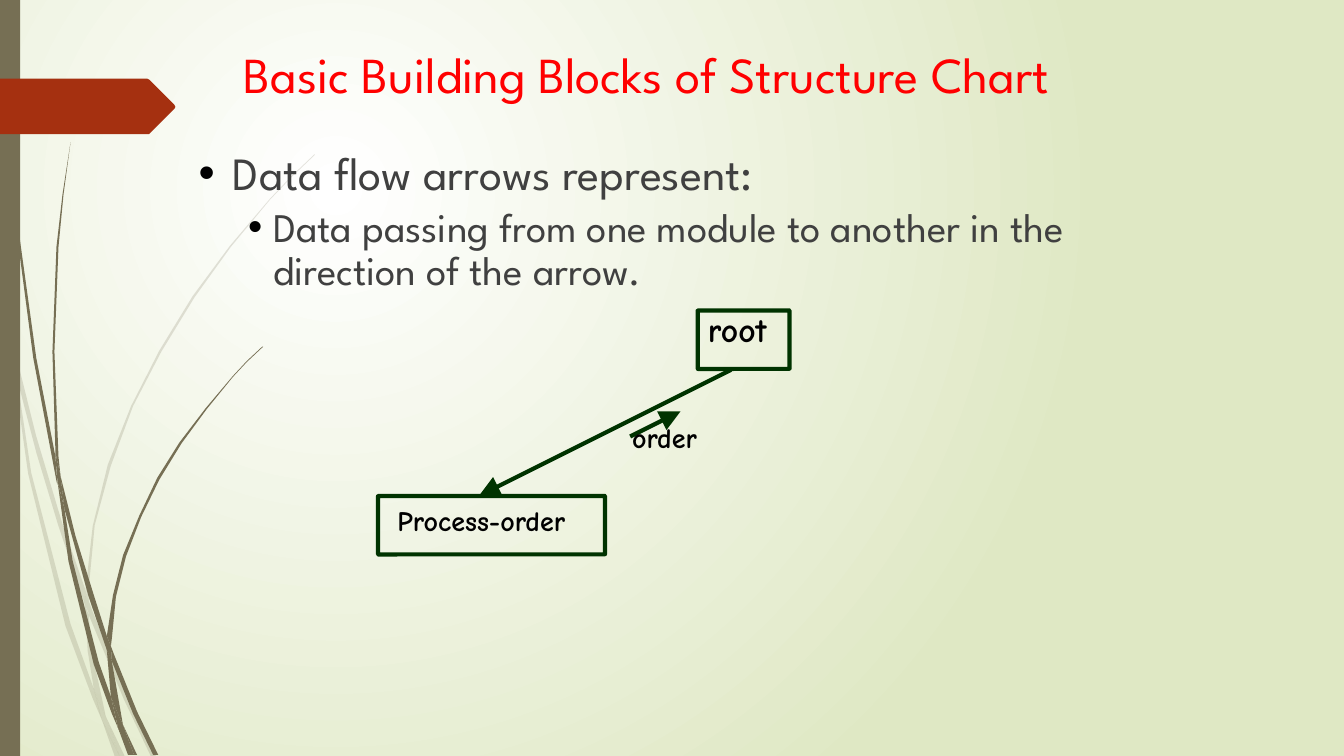
import pptx
import pptx.dml.color
import pptx.enum.shapes
import pptx.enum.text
import pptx.oxml
import pptx.oxml.ns
import pptx.util

PX = 9144  # 100 px to the inch
SANS, COMIC = "League Spartan", "Comic Neue"
OLIVE, RUST, GREEN = "766F54", "A53010", "003300"
RED, GREY, BLACK = "FF0000", "404040", "000000"

# Each blade of grass: its two edges, from tip to base
PALE_BLADES = [
    ([(0, 282), (9, 322), (11, 350)], [(0, 299), (10, 344)]),
    ([(14, 345), (36, 433), (62, 520), (85, 586)],
     [(17, 376), (36, 449), (58, 522), (84, 599)]),
    ([(88, 596), (92, 607), (127, 692), (155, 751)],
     [(88, 610), (123, 694), (150, 751)]),
    ([(105, 711), (124, 751)], [(119, 751)]),
    ([(11, 350), (17, 376), (31, 469), (70, 619), (93, 683), (101, 714)],
     [(28, 470), (65, 621), (92, 693)]),
    ([(84, 599), (88, 610), (91, 646), (105, 711)],
     [(87, 646), (93, 683), (96, 692)]),
    ([(312, 153), (289, 175), (268, 197), (228, 244), (191, 294), (158, 348),
      (130, 403), (107, 461), (92, 522), (85, 584)],
     [(312, 154), (290, 175), (268, 198), (229, 245), (193, 295), (160, 349),
      (132, 403), (110, 462), (94, 521), (88, 584), (88, 596)]),
    ([(101, 714), (119, 751)], [(114, 751)]),
    ([(85, 586), (88, 596), (88, 610)], [(84, 599), (88, 608)]),
    ([(93, 683), (96, 692), (105, 711), (119, 751)], [(99, 707), (101, 714)]),
]
DARK_BLADES = [
    ([(4, 0), (5, 48), (8, 109), (19, 232), (36, 355), (55, 453), (57, 481)],
     [(3, 0), (4, 48), (7, 110), (17, 233), (33, 355), (56, 477)]),
    ([(60, 472), (75, 532), (93, 590), (106, 631), (106, 645)],
     [(64, 505), (88, 592)]),
    ([(110, 641), (113, 649), (136, 706), (157, 749)],
     [(111, 656), (132, 708), (152, 749)]),
    ([(57, 477), (64, 505), (72, 556), (98, 657), (110, 691), (117, 722)],
     [(68, 557), (93, 659), (111, 708)]),
    ([(70, 141), (63, 193), (58, 245), (54, 349), (58, 453), (60, 472)],
     [(62, 193), (56, 245), (52, 349), (55, 449)]),
    ([(122, 719), (136, 749)], [(133, 749)]),
    ([(55, 449), (60, 472), (64, 505)], [(55, 453), (57, 477)]),
    ([(261, 344), (245, 359), (231, 374), (205, 406), (180, 440), (158, 476),
      (140, 513), (125, 552), (115, 592), (111, 633), (110, 641)],
     [(260, 344), (245, 358), (231, 373), (204, 405), (178, 439), (156, 474),
      (138, 512), (122, 551), (112, 591), (106, 631)]),
    ([(117, 722), (131, 749)], [(127, 749)]),
    ([(106, 645), (109, 651), (111, 656), (122, 719)],
     [(110, 691), (116, 706)]),
    ([(106, 631), (110, 641), (111, 656)], [(106, 645)]),
    ([(110, 691), (116, 706), (122, 719), (133, 749)],
     [(116, 717), (117, 722), (130, 749)]),
]


def rgb(color):
    return pptx.dml.color.RGBColor.from_string(color)


def xml(tag, inner="", **attrs):
    """Make one drawing element."""
    listed = " ".join(f'{name}="{value}"' for name, value in attrs.items())
    ns = pptx.oxml.ns.nsdecls("a")
    return pptx.oxml.parse_xml(f"<a:{tag} {ns} {listed}>{inner}</a:{tag}>")


def add_text(tf, text, first=False, size=20, font=SANS, color=BLACK, bold=False,
             spacing=0.9, before=0, indent=None):
    """Write one paragraph; indent is (margin, hang) in px and adds a bullet."""
    p = tf.paragraphs[0] if first else tf.add_paragraph()
    p.line_spacing, p.space_before = spacing, pptx.util.Pt(before)
    r = p.add_run()
    r.text = text
    r.font.size, r.font.name, r.font.bold = pptx.util.Pt(size), font, bold
    r.font.color.rgb = rgb(color)
    if indent:
        margin, hang = indent
        pPr = p._p.get_or_add_pPr()
        pPr.set("marL", str(margin * PX))
        pPr.set("indent", str(-hang * PX))
        pPr.append(xml("buClr", f'<a:srgbClr val="{BLACK}"/>'))
        pPr.append(xml("buFont", typeface="Arial"))
        pPr.append(xml("buChar", char="•"))


class Slide:
    def __init__(self, prs):
        self.slide = prs.slides.add_slide(prs.slide_layouts[6])
        self.shapes = self.slide.shapes

    def background(self, inner, outer):
        self.slide.background.fill.solid()
        bgPr = self.slide.element.find(".//" + pptx.oxml.ns.qn("p:bgPr"))
        bgPr.replace(bgPr[0], xml(
            "gradFill",
            f'<a:gsLst><a:gs pos="0"><a:srgbClr val="{inner}"/></a:gs>'
            f'<a:gs pos="100000"><a:srgbClr val="{outer}"/></a:gs></a:gsLst>'
            '<a:path path="circle"><a:fillToRect l="50000" t="50000" '
            'r="100000" b="100000"/></a:path>', rotWithShape=1))

    def fill(self, sp, color, alpha=100):
        sp.shadow.inherit = False
        sp.line.fill.background()
        sp.fill.solid()
        sp.fill.fore_color.rgb = rgb(color)
        if alpha < 100:
            clr = sp._element.spPr.find(".//" + pptx.oxml.ns.qn("a:srgbClr"))
            clr.append(xml("alpha", val=alpha * 1000))

    def outline(self, points, color, alpha=100):
        builder = self.shapes.build_freeform(*points[0], scale=PX)
        builder.add_line_segments(points[1:], close=True)
        self.fill(builder.convert_to_shape(), color, alpha)

    def bar(self, *box):
        kind = pptx.enum.shapes.MSO_SHAPE.RECTANGLE
        self.fill(self.shapes.add_shape(kind, *(v * PX for v in box)), OLIVE)

    def module(self, *box):
        kind = pptx.enum.shapes.MSO_SHAPE.ROUNDED_RECTANGLE
        sp = self.shapes.add_shape(kind, *(v * PX for v in box))
        sp.adjustments[0] = 0.003
        sp.shadow.inherit = False
        sp.fill.background()
        self.stroke(sp)

    def stroke(self, sp):
        sp.line.color.rgb = rgb(GREEN)
        sp.line.width = pptx.util.Pt(3)

    def arrow(self, *ends):
        kind = pptx.enum.shapes.MSO_CONNECTOR.STRAIGHT
        sp = self.shapes.add_connector(kind, *(v * PX for v in ends))
        self.stroke(sp)
        head = xml("tailEnd", type="triangle", w="lg", len="lg")
        sp.line._get_or_add_ln().append(head)
        sp._element.spPr.append(xml("effectLst"))

    def text_box(self, *box, middle=False):
        tf = self.shapes.add_textbox(*(v * PX for v in box)).text_frame
        tf.word_wrap = True
        tf.margin_left = tf.margin_right = 2 * PX
        tf.margin_top = tf.margin_bottom = 5 * PX
        anchor = pptx.enum.text.MSO_ANCHOR
        tf.vertical_anchor = anchor.MIDDLE if middle else anchor.TOP
        return tf

    def label(self, text, *box, size=20):
        add_text(self.text_box(*box), text, first=True, size=size, font=COMIC,
                 bold=True, spacing=0.85)


def main():
    prs = pptx.Presentation()
    prs.slide_width, prs.slide_height = 1333 * PX, 750 * PX
    s = Slide(prs)

    # Backdrop: glow, grass, side bar and tag
    s.background("FFFFFF", "DFE8C4")
    for blades, alpha in ((PALE_BLADES, 20), (DARK_BLADES, 100)):
        for left, right in blades:
            s.outline(left + right[::-1], OLIVE, alpha)
    s.bar(0, 0, 20, 750)
    s.outline([(0, 78), (146, 78), (148, 79), (173, 104), (174, 106),
               (173, 108), (148, 133), (0, 133)], RUST)

    # Title and bullets
    add_text(s.text_box(240, 30, 853, 94, middle=True),
             "Basic Building Blocks of Structure Chart",
             first=True, size=36, color=RED)
    body = s.text_box(195, 144, 942, 480)
    add_text(body, "Data flow arrows represent:", first=True, size=33,
             color=GREY, indent=(34, 34))
    add_text(body, "Data passing from one module to another in the direction "
             "of the arrow.", size=29, color=GREY, before=5, indent=(74, 25))

    # Structure chart
    s.label("Process-order", 392, 500, 208, 43)
    s.module(692, 308, 91, 58)
    s.module(375, 492, 225, 58)
    s.arrow(725, 367, 475, 492)
    s.label("root", 700, 308, 125, 50, size=24)
    s.arrow(625, 433, 675, 408)
    s.label("order", 625, 417, 208, 43)

    prs.save("out.pptx")


if __name__ == "__main__":
    main()
